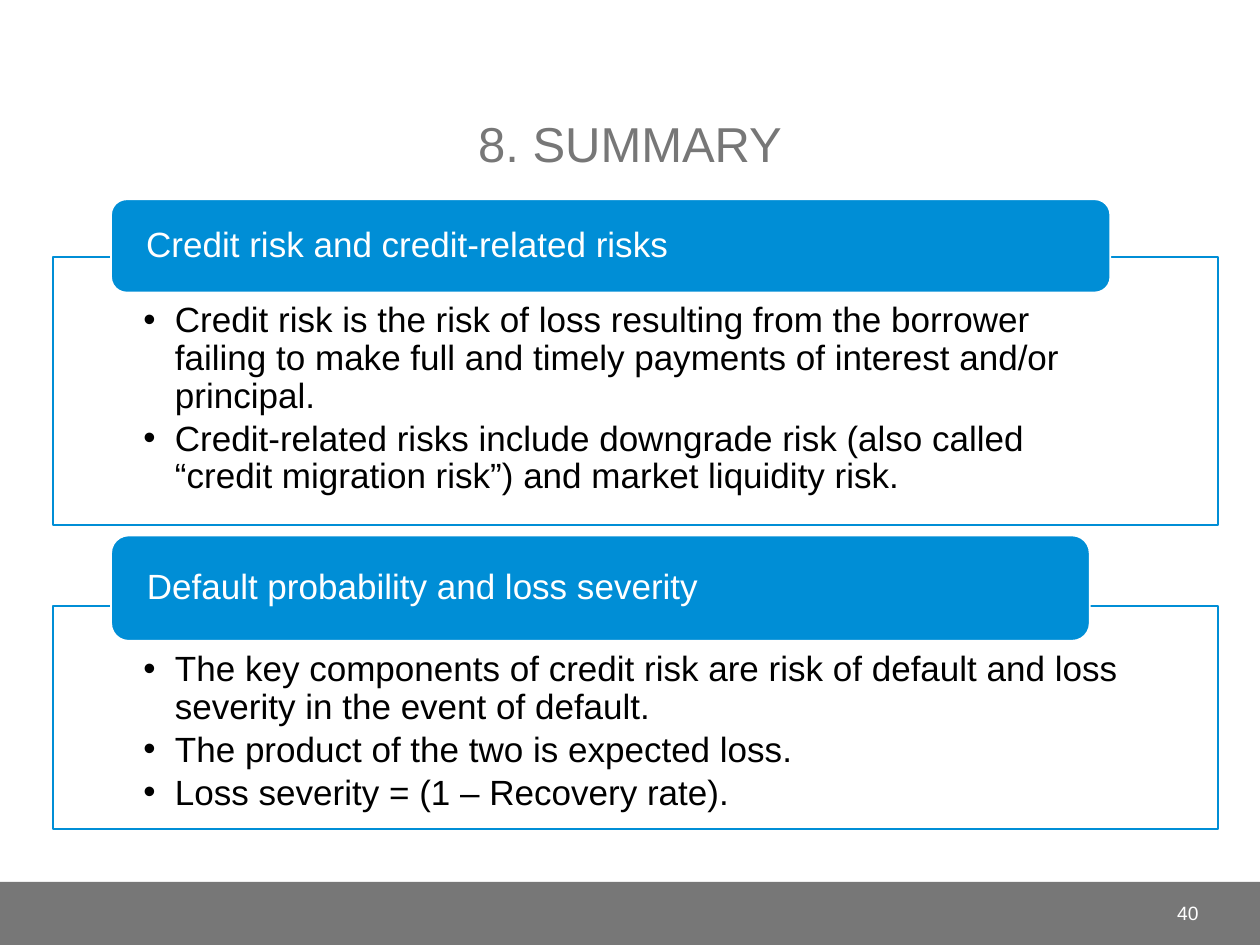
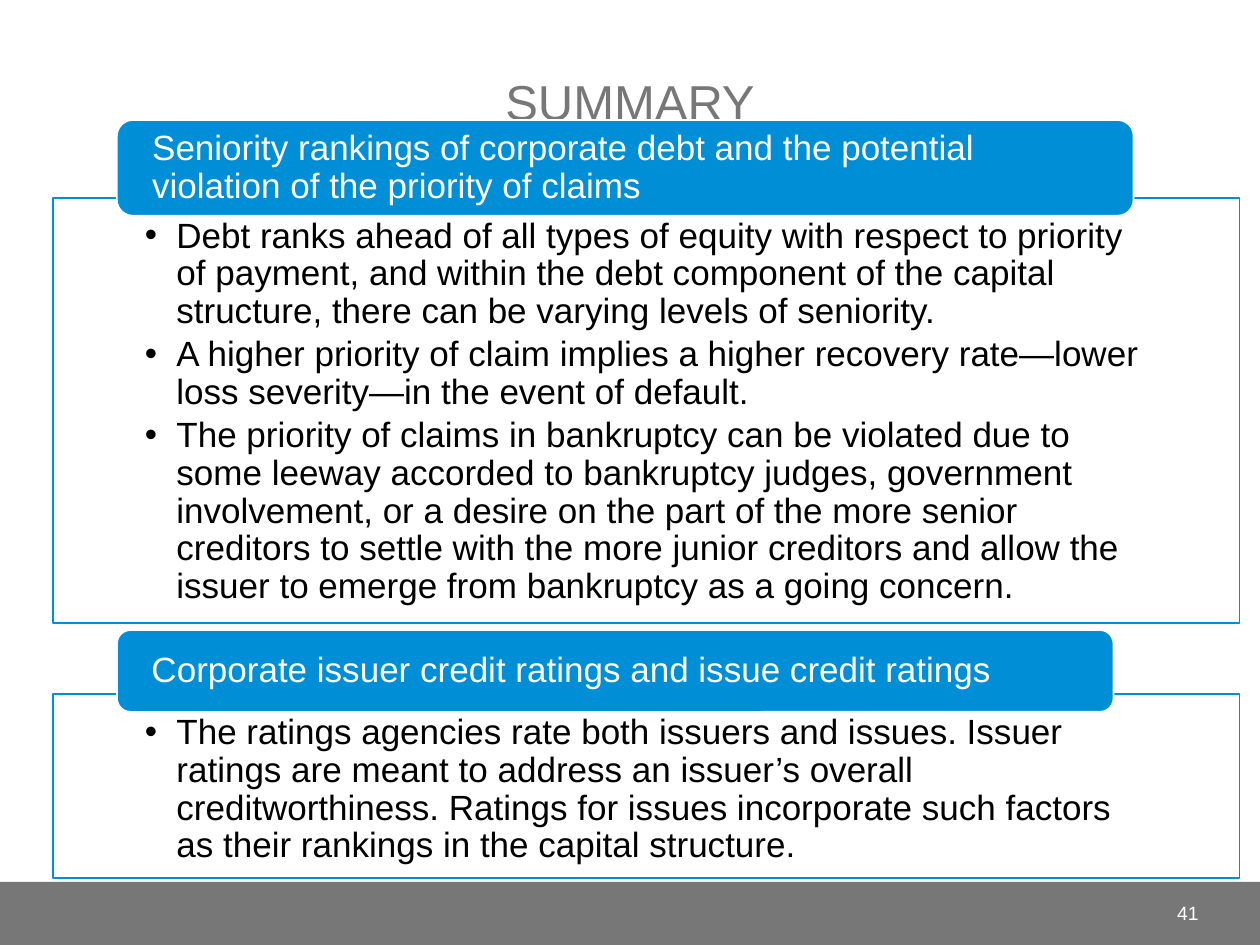
"""Build two summary slides with titled bullet panels."""
from lxml.etree import SubElement
from pptx import Presentation
from pptx.dml.color import RGBColor
from pptx.enum.shapes import MSO_SHAPE
from pptx.enum.text import MSO_ANCHOR, PP_ALIGN
from pptx.oxml.ns import qn
from pptx.util import Pt

BLUE = RGBColor(0x00, 0x8E, 0xD6)
GREY = RGBColor(0x77, 0x77, 0x77)
WHITE = RGBColor(0xFF, 0xFF, 0xFF)
BLACK = RGBColor(0x00, 0x00, 0x00)
FONT = "Arial"
WIDTH, HEIGHT = 720, 540
LEFT = 30.2
BAND = 36
INDENT = 18

SLIDES = [
    {
        "title": "8. SUMMARY", "page": "40", "title_top": 12.2,
        "frame_width": 666, "bar_left": 63.5, "pad": (51.8, 25.9),
        "panels": [
            {
                "head": "Credit risk and credit-related risks",
                "bar": (113.9, 571, 53.3), "frame": (146.8, 153.4),
                "points": [
                    "Credit risk is the risk of loss resulting from the borrower failing to make full and timely payments of interest and/or principal.",
                    "Credit-related risks include downgrade risk (also called “credit migration risk”) and market liquidity risk.",
                ],
            },
            {
                "head": "Default probability and loss severity",
                "bar": (306, 559.2, 60.2), "frame": (346.2, 127.6),
                "points": [
                    "The key components of credit risk are risk of default and loss severity in the event of default.",
                    "The product of the two is expected loss.",
                    "Loss severity = (1 – Recovery rate).",
                ],
            },
        ],
    },
    {
        "title": "SUMMARY", "page": "41", "title_top": -12.2,
        "frame_width": 678.2, "bar_left": 66.8, "pad": (52.6, 11.5),
        "panels": [
            {
                "head": "Seniority rankings of corporate debt and the potential violation of the priority of claims",
                "bar": (68.6, 581, 54.7), "frame": (113, 243.2),
                "points": [
                    "Debt ranks ahead of all types of equity with respect to priority of payment, and within the debt component of the capital structure, there can be varying levels of seniority.",
                    "A higher priority of claim implies a higher recovery rate—lower loss severity—in the event of default.",
                    "The priority of claims in bankruptcy can be violated due to some leeway accorded to bankruptcy judges, government involvement, or a desire on the part of the more senior creditors to settle with the more junior creditors and allow the issuer to emerge from bankruptcy as a going concern.",
                ],
            },
            {
                "head": "Corporate issuer credit ratings and issue credit ratings",
                "bar": (360, 569.5, 46.8), "frame": (396.7, 105.1),
                "points": [
                    "The ratings agencies rate both issuers and issues. Issuer ratings are meant to address an issuer’s overall creditworthiness. Ratings for issues incorporate such factors as their rankings in the capital structure.",
                ],
            },
        ],
    },
]


def add_box(slide, kind, place, fill=None, line=None):
    shape = slide.shapes.add_shape(kind, *map(Pt, place))
    shape.shadow.inherit = False
    if fill is None:
        shape.fill.background()
    else:
        shape.fill.solid()
        shape.fill.fore_color.rgb = fill
    if line is None:
        shape.line.fill.background()
    else:
        shape.line.color.rgb = line
        shape.line.width = Pt(1)
    return shape


def set_text(shape, text, size, color, align, anchor, pad=(7.2, 3.6, 7.2, 3.6)):
    frame = shape.text_frame
    frame.word_wrap = True
    frame.vertical_anchor = anchor
    sides = ("margin_left", "margin_top", "margin_right", "margin_bottom")
    for side, gap in zip(sides, pad):
        setattr(frame, side, Pt(gap))
    frame.text = text
    for para in frame.paragraphs:
        para.alignment = align
        for run in para.runs:
            run.font.name = FONT
            run.font.size = Pt(size)
            run.font.color.rgb = color
    return frame.paragraphs


def add_bullet(para):
    props = para._p.get_or_add_pPr()
    props.set("marL", str(Pt(INDENT)))
    props.set("indent", str(-Pt(INDENT)))
    SubElement(props, qn("a:buFont")).set("typeface", FONT)
    SubElement(props, qn("a:buChar")).set("char", "•")


def add_panel(slide, panel, page):
    top, height = panel["frame"]
    frame = add_box(slide, MSO_SHAPE.RECTANGLE,
                    (LEFT, top, page["frame_width"], height), line=BLUE)
    side, above = page["pad"]
    points = set_text(frame, "\n".join(panel["points"]), 20, BLACK,
                      PP_ALIGN.LEFT, MSO_ANCHOR.TOP, (side, above, side, 11.5))
    for para in points:
        para.line_spacing = 0.9
        para.space_after = Pt(3)
        add_bullet(para)
    bar = add_box(slide, MSO_SHAPE.ROUNDED_RECTANGLE,
                  (page["bar_left"], *panel["bar"]), BLUE, WHITE)
    head = set_text(bar, panel["head"], 20, WHITE, PP_ALIGN.LEFT,
                    MSO_ANCHOR.MIDDLE, (17.5, 0, 17.5, 0))
    head[0].line_spacing = 0.9


def add_page(deck, page):
    slide = deck.slides.add_slide(deck.slide_layouts[6])
    add_box(slide, MSO_SHAPE.RECTANGLE, (0, HEIGHT - BAND, WIDTH, BAND), GREY)
    place = (LEFT, page["title_top"], WIDTH - 2 * LEFT, 90)
    title = slide.shapes.add_textbox(*map(Pt, place))
    set_text(title, page["title"], 28, GREY, PP_ALIGN.CENTER, MSO_ANCHOR.BOTTOM)
    number = slide.shapes.add_textbox(Pt(630), Pt(507), Pt(62), Pt(28.8))
    set_text(number, page["page"], 11, WHITE, PP_ALIGN.RIGHT, MSO_ANCHOR.MIDDLE)
    for panel in page["panels"]:
        add_panel(slide, panel, page)


def main():
    deck = Presentation()
    deck.slide_width, deck.slide_height = Pt(WIDTH), Pt(HEIGHT)
    for page in SLIDES:
        add_page(deck, page)
    deck.save("out.pptx")


if __name__ == "__main__":
    main()
